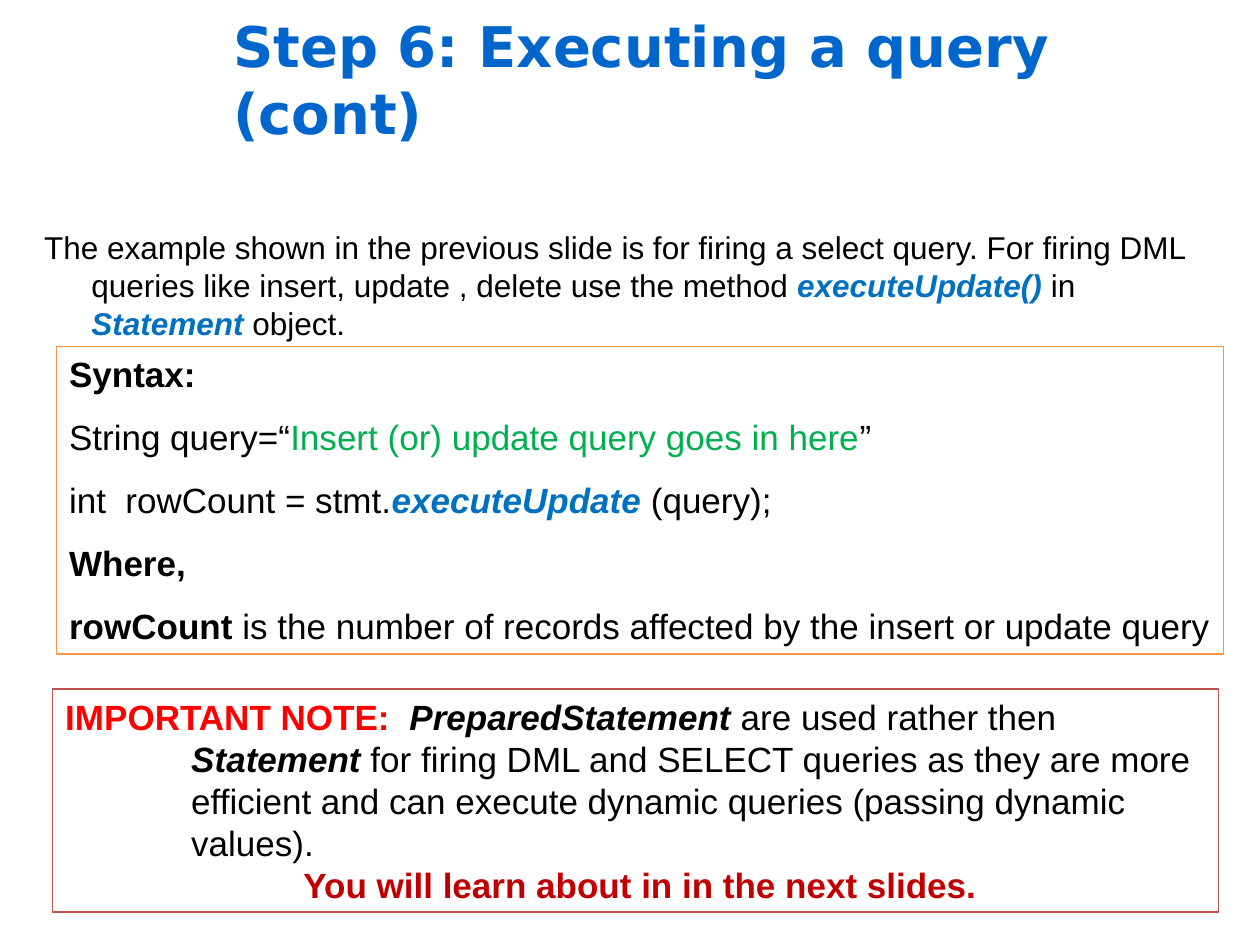
from lxml import etree
from pptx import Presentation
from pptx.dml.color import RGBColor
from pptx.enum.shapes import MSO_SHAPE
from pptx.enum.text import MSO_ANCHOR, MSO_AUTO_SIZE, PP_ALIGN
from pptx.oxml.ns import qn
from pptx.util import Pt

RECTANGLE = MSO_SHAPE.RECTANGLE
TOP, MIDDLE = MSO_ANCHOR.TOP, MSO_ANCHOR.MIDDLE
FIXED, GROW = MSO_AUTO_SIZE.NONE, MSO_AUTO_SIZE.SHAPE_TO_FIT_TEXT
LEFT, CENTER = PP_ALIGN.LEFT, PP_ALIGN.CENTER

COLORS = {
    "title": "0066CC",
    "text": "000000",
    "code": "0070C0",
    "string": "00B050",
    "warning": "FF0000",
    "closing": "C00000",
    "paper": "FFFFFF",
    "syntax_border": "F79646",
    "note_border": "C0504D",
}

# Run style: colour, bold, italic
STYLES = {
    "title": ("title", True, False),
    "plain": ("text", False, False),
    "bold": ("text", True, False),
    "term": ("text", True, True),
    "code": ("code", True, True),
    "string": ("string", False, False),
    "warning": ("warning", True, False),
    "closing": ("closing", True, False),
}

INTRO = [
    ("The example shown in the previous slide is for firing a select query. "
     "For firing DML queries like insert, update , delete use the method ", "plain"),
    ("executeUpdate() ", "code"),
    ("in ", "plain"),
    ("Statement", "code"),
    (" object.", "plain"),
]
SYNTAX = [
    [("Syntax:", "bold")],
    [("String query=“", "plain"),
     ("Insert (or) update query goes in here", "string"), ("”", "plain")],
    [("int  rowCount = stmt.", "plain"), ("executeUpdate ", "code"),
     ("(query);", "plain")],
    [("Where,", "bold")],
    [("rowCount ", "bold"),
     ("is the number of records affected by the insert or update query", "plain")],
]
NOTE = [
    ("IMPORTANT NOTE:  ", "warning"),
    ("PreparedStatement", "term"),
    (" are used rather then ", "plain"),
    ("Statement", "term"),
    (" for firing DML and SELECT queries as they are more efficient and can "
     "execute dynamic queries (passing dynamic values).", "plain"),
]
CLOSING = [(" You will learn about in in the next slides.", "closing")]


def color(name):
    return RGBColor.from_string(COLORS[name])


def place(shape, left, top, width, height):
    bounds = {"left": left, "top": top, "width": width, "height": height}
    for side, length in bounds.items():
        setattr(shape, side, Pt(length))


def format_frame(frame, **values):
    settings = {"word_wrap": True, "auto_size": FIXED, "vertical_anchor": TOP}
    for key, value in (settings | values).items():
        setattr(frame, key, value)


def write_paragraph(paragraph, runs, size, font="Arial", align=LEFT,
                    before=0, hanging=0):
    """Fill a paragraph with styled runs; hanging is the indent of later lines."""
    properties = paragraph._p.get_or_add_pPr()
    properties.set("marL", str(Pt(hanging)))
    properties.set("indent", str(-Pt(hanging)))
    etree.SubElement(properties, qn("a:buNone"))
    paragraph.alignment = align
    paragraph.space_before = Pt(before)
    for text, style in runs:
        run = paragraph.add_run()
        run.text = text
        tone, bold, italic = STYLES[style]
        values = {"name": font, "size": Pt(size), "bold": bold, "italic": italic}
        for key, value in values.items():
            setattr(run.font, key, value)
        run.font.color.rgb = color(tone)


def add_bordered_box(slide, bounds, border, wrap=True):
    box = slide.shapes.add_shape(RECTANGLE, *map(Pt, bounds))
    box.shadow.inherit = False
    box.fill.solid()
    box.fill.fore_color.rgb = color("paper")
    box.line.color.rgb = color(border)
    box.line.width = Pt(0.75)
    format_frame(box.text_frame, word_wrap=wrap, auto_size=GROW)
    return box.text_frame


def main():
    deck = Presentation()
    deck.slide_width, deck.slide_height = Pt(720), Pt(540)
    slide = deck.slides.add_slide(deck.slide_layouts[1])

    title, intro = slide.placeholders
    place(title, 126, 0, 594, 90)
    format_frame(title.text_frame, vertical_anchor=MIDDLE)
    write_paragraph(title.text_frame.paragraphs[0],
                    [("Step 6: Executing a query (cont)", "title")],
                    32, font="DejaVu Sans")

    place(intro, 18, 126.7, 684, 143.3)
    format_frame(intro.text_frame)
    write_paragraph(intro.text_frame.paragraphs[0], INTRO, 18, hanging=27)

    syntax = add_bordered_box(slide, (32.4, 198, 666.7, 175.7),
                              "syntax_border", wrap=False)
    for index, line in enumerate(SYNTAX):
        paragraph = syntax.add_paragraph() if index else syntax.paragraphs[0]
        write_paragraph(paragraph, line, 20, before=12 if index else 0)

    note = add_bordered_box(slide, (30.2, 393.8, 666, 127.4), "note_border")
    write_paragraph(note.paragraphs[0], NOTE, 20, hanging=72)
    write_paragraph(note.add_paragraph(), CLOSING, 20, align=CENTER, hanging=72)

    deck.save("out.pptx")


if __name__ == "__main__":
    main()
